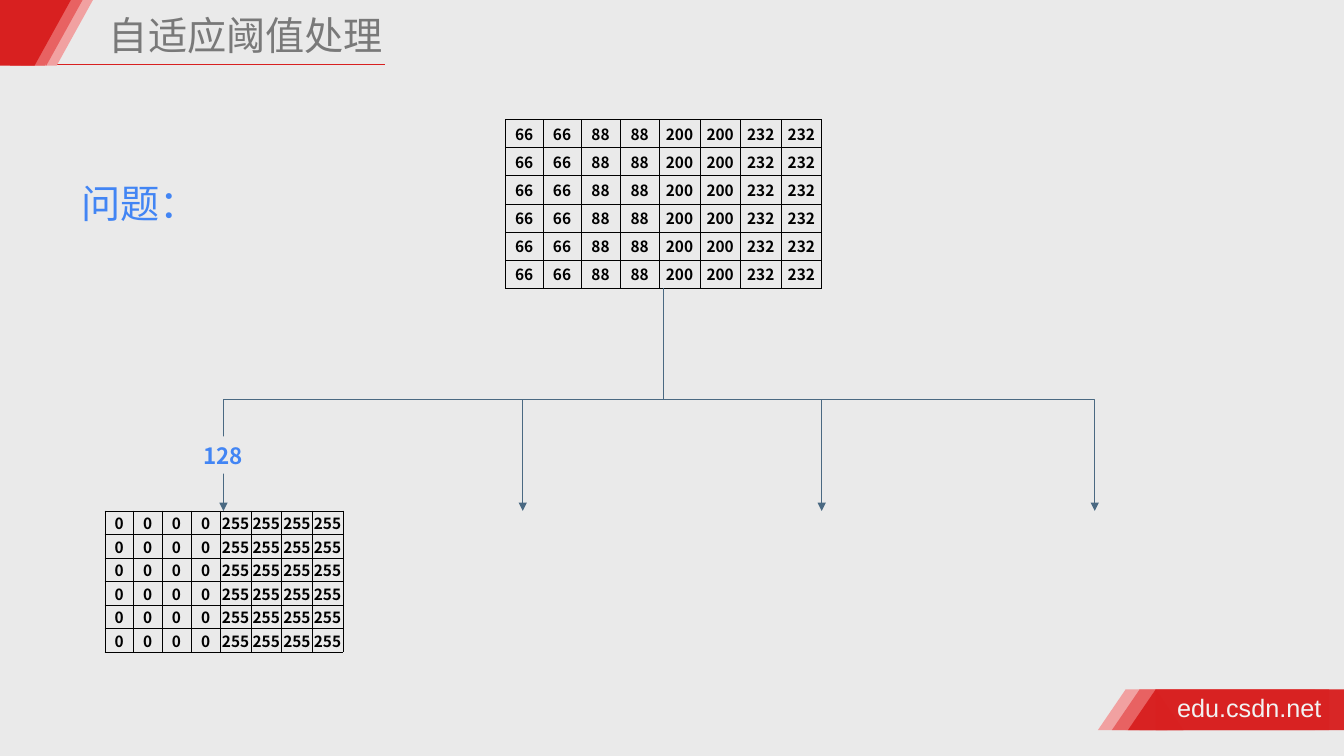
"""Build the adaptive threshold slide with its pixel grids and branching arrows."""
from dataclasses import dataclass

import pptx
import pptx.dml.color
import pptx.enum.shapes
import pptx.enum.text
import pptx.oxml
import pptx.oxml.ns
import pptx.util

Pt = pptx.util.Pt
MSO_SHAPE = pptx.enum.shapes.MSO_SHAPE
MSO_CONNECTOR = pptx.enum.shapes.MSO_CONNECTOR
PP_ALIGN = pptx.enum.text.PP_ALIGN
MSO_ANCHOR = pptx.enum.text.MSO_ANCHOR

CJK_FONT = "Noto Sans CJK SC"
BACKGROUND = "EAEAEA"
RED, MIDDLE_RED, LIGHT_RED = "D82020", "E86262", "F1A1A1"
BLUE, ARROW_BLUE = "4285F4", "4A6982"
TRUNK_X, TRUNK_TOP, ARROW_END = 474, 205.8, 365
ARROW_TARGETS = [159.6, 373.4, 587, 782]
ROW_COUNT = 6


@dataclass
class Band:
    """A slanted band made of a rectangle and a triangle."""
    color: str
    triangle_left: float
    rectangle_left: float
    opacity: int = 100


@dataclass
class BandRow:
    """Overlapping bands that share their size and direction."""
    top: float
    height: float
    triangle_width: float
    rectangle_width: float
    rotation: int
    bands: list[Band]


@dataclass
class PixelGrid:
    """A table of pixel values whose rows are all alike."""
    left: float
    top: float
    column_widths: list[float]
    row_height: float
    values: list[int]


BAND_ROWS = [
    BandRow(492.5, 29, 39.6, 135.4, 0, [
        Band(LIGHT_RED, 784.2, 804),
        Band(MIDDLE_RED, 794.2, 814),
        Band(RED, 805.7, 825.5, 97),
    ]),
    BandRow(0, 47, 52, 25.2, 180, [
        Band(LIGHT_RED, 14.4, 15),
        Band(MIDDLE_RED, 7, 7.2),
        Band(RED, -1.4, -0.8),
    ]),
]

PIXEL_GRIDS = [
    PixelGrid(75, 365, [20.3] * 2 + [20.9] * 2 + [21.9] * 4, 16.8, [0] * 4 + [255] * 4),
    PixelGrid(361, 85.5, [27] * 2 + [28] * 2 + [29] * 4, 20.05,
              [66, 66, 88, 88, 200, 200, 232, 232]),
]


def rgb(color: str) -> pptx.dml.color.RGBColor:
    """Turn a hex string into a colour."""
    return pptx.dml.color.RGBColor.from_string(color)


def add_xml(parent, xml: str) -> None:
    """Append a drawing element given as text with the prefix a."""
    head, rest = xml.split(">", 1) if "/>" not in xml.split(">", 1)[0] + ">" else (xml[:-2], None)
    opening = f"{head} {pptx.oxml.ns.nsdecls('a')}"
    parent.append(pptx.oxml.parse_xml(f"{opening}/>" if rest is None else f"{opening}>{rest}"))


def write_text(frame, text: str, *, size: float, color: str, font: str = CJK_FONT,
               bold: bool = False, align=PP_ALIGN.LEFT, line_spacing: float = 1.0) -> None:
    """Write one formatted paragraph into a text frame."""
    paragraph = frame.paragraphs[0]
    paragraph.alignment = align
    paragraph.line_spacing = line_spacing
    run = paragraph.add_run()
    run.text = text
    run.font.size = Pt(size)
    run.font.bold = bold
    run.font.color.rgb = rgb(color)
    run.font.name = font
    add_xml(run.font._element, f'<a:ea typeface="{font}"/>')


def set_margins(frame, horizontal: float, vertical: float) -> None:
    """Set the inner margins of a text frame."""
    frame.margin_left = frame.margin_right = Pt(horizontal)
    frame.margin_top = frame.margin_bottom = Pt(vertical)


def add_text(slide, text: str, left: float, top: float, width: float, height: float, *,
             margins: tuple[float, float] = (3.6, 3.6), wrap: bool = True, **text_format) -> None:
    """Add a text box with one line of text."""
    frame = slide.shapes.add_textbox(Pt(left), Pt(top), Pt(width), Pt(height)).text_frame
    frame.word_wrap = wrap
    set_margins(frame, *margins)
    write_text(frame, text, **text_format)


def add_filled_shape(slide, kind, left: float, top: float, width: float, height: float,
                     color: str, opacity: int = 100):
    """Add a borderless filled shape."""
    shape = slide.shapes.add_shape(kind, Pt(left), Pt(top), Pt(width), Pt(height))
    shape.shadow.inherit = False
    shape.line.fill.background()
    shape.fill.solid()
    shape.fill.fore_color.rgb = rgb(color)
    if opacity < 100:
        color_element = shape._element.spPr.find(".//" + pptx.oxml.ns.qn("a:srgbClr"))
        add_xml(color_element, f'<a:alpha val="{opacity * 1000}"/>')
    return shape


def add_band_row(slide, row: BandRow) -> None:
    """Draw the overlapping bands of one corner."""
    for band in row.bands:
        add_filled_shape(slide, MSO_SHAPE.RECTANGLE, band.rectangle_left, row.top,
                         row.rectangle_width, row.height, band.color, band.opacity)
        triangle = add_filled_shape(slide, MSO_SHAPE.ISOSCELES_TRIANGLE, band.triangle_left, row.top,
                                    row.triangle_width, row.height, band.color, band.opacity)
        triangle.rotation = row.rotation


def add_line(slide, kind, start: tuple[float, float], end: tuple[float, float], color: str):
    """Add a one-point connector without shadow."""
    connector = slide.shapes.add_connector(kind, *map(Pt, start + end))
    connector.line.color.rgb = rgb(color)
    connector.line.width = Pt(1)
    add_xml(connector._element.spPr, "<a:effectLst/>")
    return connector


def add_branch(slide, target_x: float) -> None:
    """Add a bent arrow that leaves the trunk downwards and ends above target_x."""
    center_x, center_y = (TRUNK_X + target_x) / 2, (TRUNK_TOP + ARROW_END) / 2
    half_drop, half_span = (ARROW_END - TRUNK_TOP) / 2, abs(target_x - TRUNK_X) / 2
    side, degrees = (1, 270) if target_x > TRUNK_X else (-1, 90)
    arrow = add_line(slide, MSO_CONNECTOR.ELBOW,
                     (center_x + side * half_drop, center_y - half_span),
                     (center_x - side * half_drop, center_y + half_span), ARROW_BLUE)
    arrow._element.spPr.xfrm.set("rot", str(degrees * 60000))
    add_xml(arrow.line._get_or_add_ln(), '<a:tailEnd type="triangle"/>')


def add_pixel_grid(slide, grid: PixelGrid) -> None:
    """Add a bordered table of pixel values."""
    table = slide.shapes.add_table(ROW_COUNT, len(grid.values), Pt(grid.left), Pt(grid.top),
                                   Pt(sum(grid.column_widths)), Pt(ROW_COUNT * grid.row_height)).table
    table.first_row = table.horz_banding = False
    for column, width in zip(table.columns, grid.column_widths):
        column.width = Pt(width)
    for row in table.rows:
        row.height = Pt(grid.row_height)
        for cell, value in zip(row.cells, grid.values):
            set_margins(cell, 0.5, 0.3)
            cell.vertical_anchor = MSO_ANCHOR.MIDDLE
            write_text(cell.text_frame, str(value), size=11, color="000000", bold=True,
                       align=PP_ALIGN.CENTER)
            for edge in ("lnL", "lnR", "lnT", "lnB"):
                add_xml(cell._tc.get_or_add_tcPr(),
                        f'<a:{edge} w="{Pt(0.5)}"><a:solidFill><a:srgbClr val="000000"/>'
                        f'</a:solidFill></a:{edge}>')
            cell.fill.background()


def main() -> None:
    """Build and save the presentation."""
    presentation = pptx.Presentation()
    presentation.slide_width, presentation.slide_height = Pt(960), Pt(540)
    slide = presentation.slides.add_slide(presentation.slide_layouts[6])
    slide.background.fill.solid()
    slide.background.fill.fore_color.rgb = rgb(BACKGROUND)
    add_line(slide, MSO_CONNECTOR.STRAIGHT, (35, 46), (275, 46), RED)
    for row in BAND_ROWS:
        add_band_row(slide, row)
    add_text(slide, "edu.csdn.net", 837.2, 491, 111.6, 29, wrap=False, size=18, color="F2F2F2", font="Arial")
    add_text(slide, "自适应阈值处理", 74.2, 8.6, 314, 38, size=28, color="797979", line_spacing=0.9)
    add_text(slide, "问题：", 50.4, 124.6, 99.4, 41, margins=(7.2, 3.6), wrap=False,
             size=28, color=BLUE, align=PP_ALIGN.CENTER)
    for grid in PIXEL_GRIDS:
        add_pixel_grid(slide, grid)
    for target_x in ARROW_TARGETS:
        add_branch(slide, target_x)
    label = add_filled_shape(slide, MSO_SHAPE.RECTANGLE, 109.4, 311.8, 100, 26.6, BACKGROUND)
    set_margins(label.text_frame, 3.6, 3.6)
    write_text(label.text_frame, "128", size=16, color=BLUE, bold=True, align=PP_ALIGN.CENTER)
    presentation.save("out.pptx")


if __name__ == "__main__":
    main()
